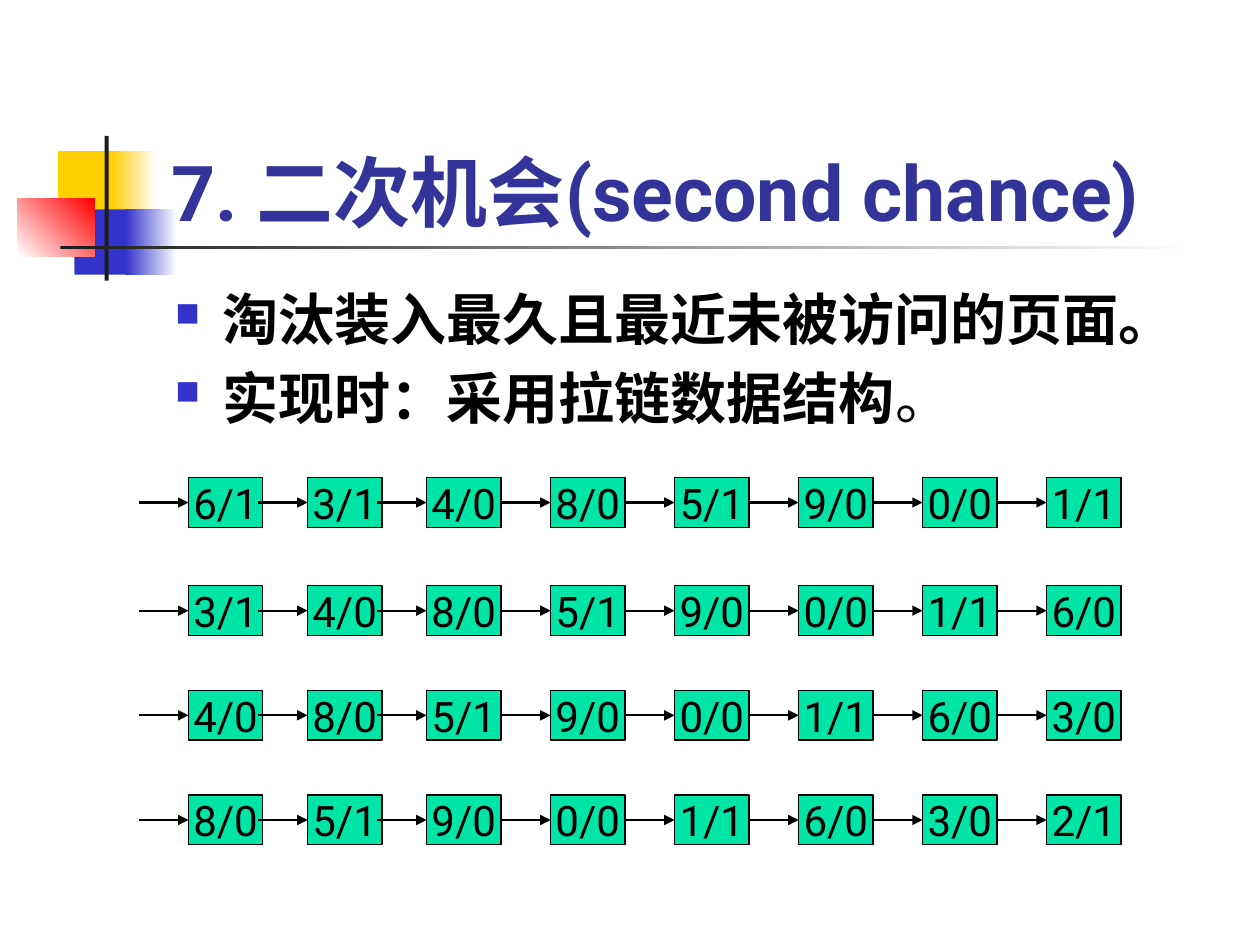
from lxml import etree
from pptx import Presentation
from pptx import util as u
from pptx.dml.color import RGBColor
from pptx.enum import shapes, text
from pptx.oxml import ns

FONT = "Roboto"
COLORS = {
    "yellow": "FFCF01",
    "blue": "3333CC",
    "red": "FF0000",
    "rule": "1C1C1C",
    "white": "FFFFFF",
    "title": "333399",
    "black": "000000",
    "page": "00E4A8",
}
QUEUES = [
    "6/1 3/1 4/0 8/0 5/1 9/0 0/0 1/1",
    "3/1 4/0 8/0 5/1 9/0 0/0 1/1 6/0",
    "4/0 8/0 5/1 9/0 0/0 1/1 6/0 3/0",
    "8/0 5/1 9/0 0/0 1/1 6/0 3/0 2/1",
]
QUEUE_TOPS = [9.63] + [11.81 + 2.11 * i for i in range(3)]
PAGE_LEFTS = [3.8, 6.2] + [8.6 + 2.5 * i for i in range(6)]
PAGE_WIDTH, PAGE_HEIGHT, ARROW_LENGTH = 1.5, 1.0, 1.0


def color(name):
    return RGBColor.from_string(COLORS[name])


def cm(*lengths):
    return [u.Cm(length) for length in lengths]


def style_runs(paragraph, size, color_name, bold=False):
    for run in paragraph.runs:
        run.font.name = FONT
        run.font.size = u.Pt(size)
        run.font.bold = bold
        run.font.color.rgb = color(color_name)


def add_block(parent, box, start, end=None, angle=0):
    block = parent.add_shape(shapes.MSO_SHAPE.RECTANGLE, *cm(*box))
    block.shadow.inherit = False
    block.line.fill.background()
    if end is None:
        block.fill.solid()
        block.fill.fore_color.rgb = color(start)
    else:
        block.fill.gradient()
        block.fill.gradient_angle = angle
        for stop, name in zip(block.fill.gradient_stops, (start, end)):
            stop.color.rgb = color(name)
    return block


def add_decoration(parent):
    add_block(parent, (1.17, 3.05, 1.22, 1.32), "yellow")
    add_block(parent, (2.24, 3.05, 0.91, 1.32), "yellow", "white")
    add_block(parent, (1.5, 4.22, 1.17, 1.32), "blue")
    add_block(parent, (2.54, 4.22, 1.02, 1.32), "blue", "white")
    add_block(parent, (0.36, 4.01, 1.55, 1.17), "white", "red", 45)
    add_block(parent, (2.11, 2.74, 0.08, 2.92), "rule")
    add_block(parent, (1.22, 4.95, 22.86, 0.08), "rule", "white")


def add_title(parent, box, wording):
    frame = parent.add_textbox(*cm(*box)).text_frame
    frame.word_wrap = True
    frame.vertical_anchor = text.MSO_ANCHOR.BOTTOM
    frame.text = wording
    style_runs(frame.paragraphs[0], 44, "title", True)


def add_bullet(paragraph):
    props = paragraph._p.get_or_add_pPr()
    indent = u.Cm(0.95)
    props.set("marL", str(indent))
    props.set("indent", str(-indent))
    bullet_color = etree.SubElement(props, ns.qn("a:buClr"))
    etree.SubElement(bullet_color, ns.qn("a:srgbClr"), val=COLORS["blue"])
    etree.SubElement(props, ns.qn("a:buSzPct"), val="60000")
    etree.SubElement(props, ns.qn("a:buChar"), char="■")


def add_points(parent, box):
    frame = parent.add_textbox(*cm(*box)).text_frame
    frame.word_wrap = True
    frame.text = "淘汰装入最久且最近未被访问的页面。\n实现时：采用拉链数据结构"
    policy, structure = frame.paragraphs
    structure.add_run().text = "。"
    for point in (policy, structure):
        add_bullet(point)
        style_runs(point, 32, "black", True)
    structure.space_before = u.Pt(6.5)
    structure.runs[-1].font.bold = False


def add_page(parent, left, top, wording):
    page = add_block(parent, (left, top, PAGE_WIDTH, PAGE_HEIGHT), "page")
    page.line.color.rgb = color("black")
    page.line.width = u.Pt(0.75)
    frame = page.text_frame
    frame.word_wrap = False
    frame.vertical_anchor = text.MSO_ANCHOR.MIDDLE
    frame.text = wording
    frame.paragraphs[0].alignment = text.PP_ALIGN.CENTER
    style_runs(frame.paragraphs[0], 24, "black")


def add_arrow(parent, tip, y):
    arrow = parent.add_connector(
        shapes.MSO_CONNECTOR.STRAIGHT, *cm(tip - ARROW_LENGTH, y, tip, y))
    arrow.line.color.rgb = color("black")
    arrow.line.width = u.Pt(1.25)
    etree.SubElement(arrow.line._get_or_add_ln(), ns.qn("a:tailEnd"), type="triangle")
    etree.SubElement(arrow._element.spPr, ns.qn("a:effectLst"))


def add_queue(parent, top, pages):
    queue = parent.add_group_shape().shapes
    for left, wording in zip(PAGE_LEFTS, pages):
        add_page(queue, left, top, wording)
    for left in PAGE_LEFTS:
        add_arrow(queue, left, top + PAGE_HEIGHT / 2)


def main():
    deck = Presentation()
    deck.slide_width, deck.slide_height = cm(25.4, 19.05)
    canvas = deck.slides.add_slide(deck.slide_layouts[6]).shapes
    add_decoration(canvas)
    add_title(canvas, (3.2, 1.73, 21.64, 3.18), "7. 二次机会(second chance)")
    add_points(canvas, (3.28, 5.61, 21.59, 4.32))
    for top, queue in zip(QUEUE_TOPS, QUEUES):
        add_queue(canvas, top, queue.split())
    deck.save("out.pptx")


if __name__ == "__main__":
    main()
